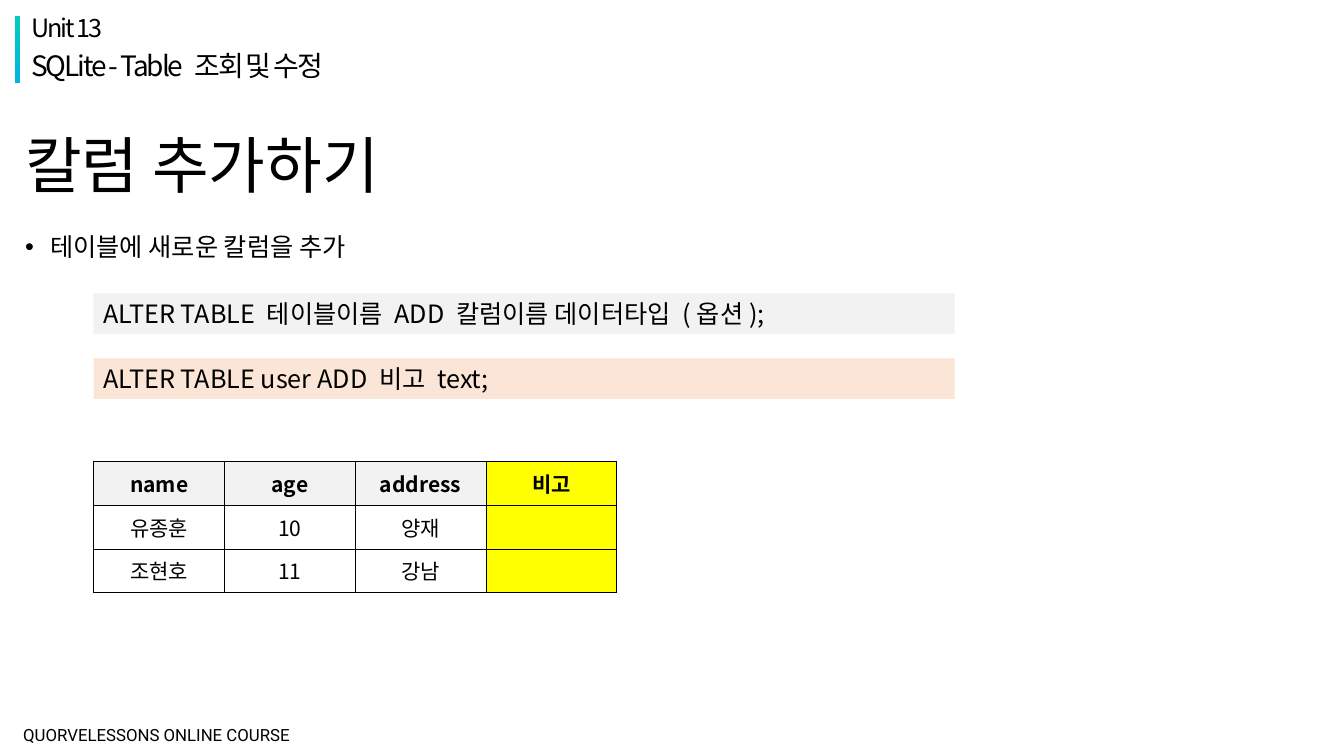
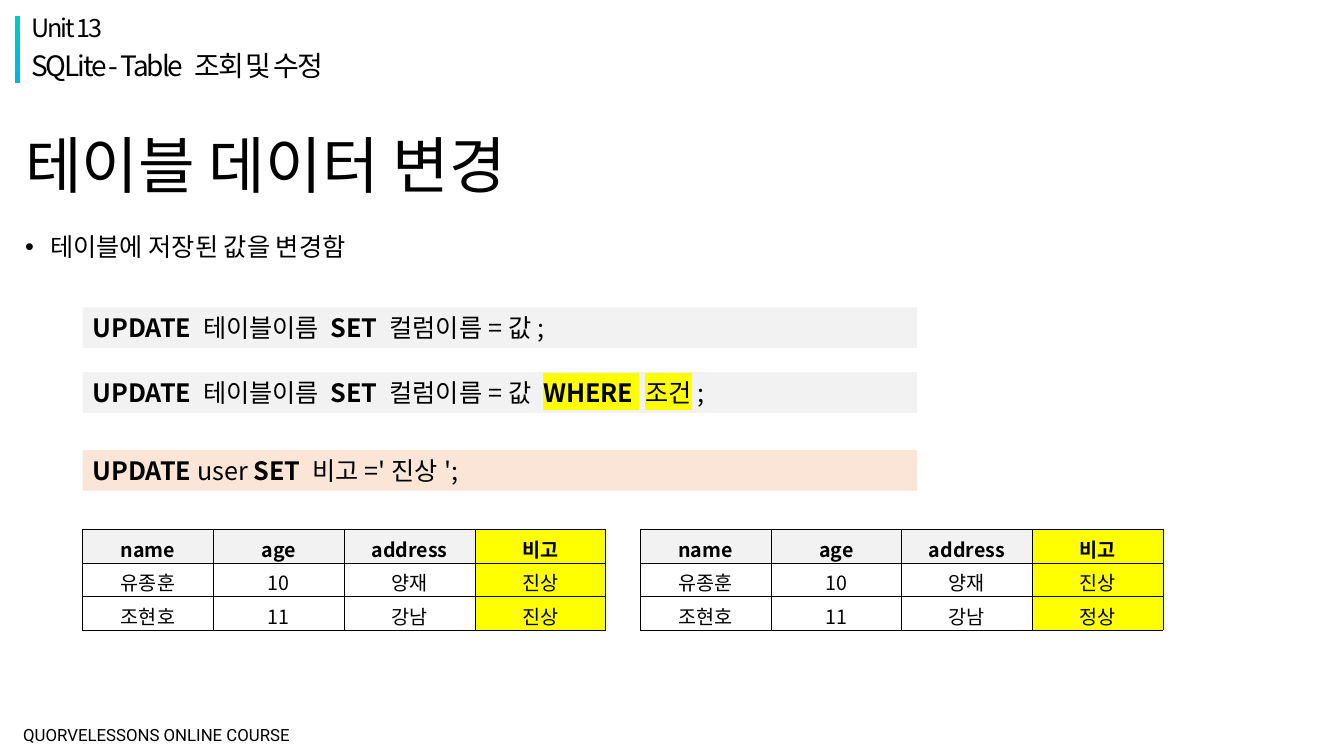
from dataclasses import dataclass

from lxml.etree import SubElement
from pptx import Presentation
from pptx.dml.color import RGBColor
from pptx.enum.shapes import MSO_SHAPE as Shape
from pptx.enum.text import MSO_ANCHOR as Anchor, PP_ALIGN as Align
from pptx.oxml.ns import qn
from pptx.util import Inches, Pt

COLUMNS, ROWS = 160, 90


@dataclass(frozen=True)
class Theme:
    font: str = "Noto Sans CJK KR"
    footer_font: str = "Roboto"
    ink: str = "000000"
    paper: str = "FFFFFF"
    syntax: str = "F2F2F2"
    example: str = "FBE5D6"
    marker: str = "FFFF00"
    bar_top: str = "02CCBA"
    bar_bottom: str = "02B3E4"
    title_size: int = 44
    topic_size: int = 20
    body_size: int = 18
    footer_size: int = 12
    border: float = 0.5


def rgb(value):
    return RGBColor.from_string(value)


def add_solid_color(parent, tag, value):
    SubElement(SubElement(parent, qn(tag)), qn("a:srgbClr")).set("val", value)


class Lesson:
    def __init__(self, theme, unit, topic, footer):
        self.theme = theme
        self.unit, self.topic, self.footer = unit, topic, footer
        self.deck = Presentation()
        self.deck.slide_width, self.deck.slide_height = Inches(13.33), Inches(7.5)
        self.page = None

    def place(self, column, row, columns, rows):
        """Turn grid units into left, top, width and height."""
        across = self.deck.slide_width / COLUMNS
        down = self.deck.slide_height / ROWS
        return [round(n) for n in (column * across, row * down,
                                   columns * across, rows * down)]

    def style(self, span, size, bold=False, font=None, marked=False, tracking=0):
        theme = self.theme
        span.font.size, span.font.bold = Pt(size), bold
        span.font.color.rgb = rgb(theme.ink)
        span.font.name = font or theme.font
        props = span._r.get_or_add_rPr()
        SubElement(props, qn("a:ea")).set("typeface", font or theme.font)
        if tracking:
            props.set("spc", str(round(tracking * 100)))
        if marked:
            add_solid_color(props, "a:highlight", theme.marker)
            props.find(qn("a:latin")).addprevious(props[-1])

    def text(self, area, words, size, anchor=Anchor.TOP, line=None, before=0, **look):
        box = self.page.shapes.add_textbox(*self.place(*area))
        frame = box.text_frame
        frame.text = words
        frame.word_wrap = True
        frame.vertical_anchor = anchor
        para = frame.paragraphs[0]
        para.space_before = Pt(before)
        if line:
            para.line_spacing = line
        self.style(para.runs[0], size, **look)
        return box

    def start_page(self, title):
        theme = self.theme
        self.page = self.deck.slides.add_slide(self.deck.slide_layouts[6])
        self.accent_bar()
        footer = self.text((1.8, 85.3, 60, 4.3), self.footer, theme.footer_size,
                           Anchor.MIDDLE, font=theme.footer_font)
        footer.text_frame.margin_left = Inches(0.08)
        self.text((1.8, 15, 138, 10.2), title, theme.title_size, Anchor.MIDDLE, 0.9)
        for row, words, size in ((1.32, self.unit, theme.body_size),
                                 (5.64, self.topic, theme.topic_size)):
            self.text((2.52, row, 96.6, 4.1), words, size,
                      line=0.9, before=10, tracking=-1.5)

    def accent_bar(self):
        bar = self.page.shapes.add_shape(Shape.RECTANGLE,
                                         *self.place(1.8, 1.92, 0.6, 7.92))
        bar.shadow.inherit = False
        bar.line.fill.background()
        bar.fill.gradient()
        bar.fill.gradient_angle = 270
        colors = (self.theme.bar_top, self.theme.bar_bottom)
        for position, (stop, color) in enumerate(zip(bar.fill.gradient_stops, colors)):
            stop.position, stop.color.rgb = position, rgb(color)

    def bullet(self, words):
        box = self.text((1.8, 27, 138, 10.2), words, self.theme.body_size, before=10)
        props = box.text_frame.paragraphs[0]._p.get_or_add_pPr()
        props.set("marL", str(Inches(0.25)))
        props.set("indent", str(-Inches(0.25)))
        SubElement(props, qn("a:buFont")).set("typeface", "Arial")
        SubElement(props, qn("a:buChar")).set("char", "•")

    def code(self, column, row, columns, fill, *parts):
        """Draw a code band; a part is plain text or (text, look)."""
        band = self.page.shapes.add_shape(Shape.RECTANGLE,
                                          *self.place(column, row, columns, 4.85))
        band.shadow.inherit = False
        band.fill.solid()
        band.fill.fore_color.rgb = rgb(fill)
        band.line.fill.background()
        frame = band.text_frame
        frame.word_wrap = True
        frame.vertical_anchor = Anchor.MIDDLE
        para = frame.paragraphs[0]
        para.alignment = Align.LEFT
        for part in parts:
            words, look = (part, {}) if isinstance(part, str) else part
            span = para.add_run()
            span.text = words
            self.style(span, self.theme.body_size, **look)

    def table(self, column, row, row_height, size, records):
        """Draw records with a shaded header and a marked last column."""
        count, last = len(records), len(records[0]) - 1
        area = self.place(column, row, 15.57 * (last + 1), row_height * count)
        table = self.page.shapes.add_table(count, last + 1, *area).table
        table.first_row = table.horz_banding = False
        for r, record in enumerate(records):
            for c, words in enumerate(record):
                header = self.theme.syntax if r == 0 else self.theme.paper
                fill = self.theme.marker if c == last else header
                self.cell(table.cell(r, c), words, size, fill, bold=r == 0)

    def cell(self, cell, words, size, fill, bold):
        props = cell._tc.get_or_add_tcPr()
        for side in ("a:lnL", "a:lnR", "a:lnT", "a:lnB"):
            edge = SubElement(props, qn(side))
            edge.set("w", str(Pt(self.theme.border)))
            add_solid_color(edge, "a:solidFill", self.theme.ink)
        cell.fill.solid()
        cell.fill.fore_color.rgb = rgb(fill)
        cell.vertical_anchor = Anchor.MIDDLE
        cell.text = words
        para = cell.text_frame.paragraphs[0]
        para.alignment = Align.CENTER
        for span in para.runs:
            self.style(span, size, bold)
        if not words:
            SubElement(para._p, qn("a:endParaRPr")).set("sz", str(size * 100))


def user_records(*notes):
    people = (("유종훈", "10", "양재"), ("조현호", "11", "강남"))
    return [("name", "age", "address", "비고"),
            *((*person, note) for person, note in zip(people, notes))]


def add_column_page(lesson):
    theme, left, width = lesson.theme, 11.16, 102.5
    lesson.start_page("칼럼 추가하기")
    lesson.bullet("테이블에 새로운 칼럼을 추가")
    lesson.code(left, 34.92, width, theme.syntax,
                "ALTER TABLE 테이블이름 ADD 칼럼이름 데이터타입 (옵션);")
    lesson.code(left, 42.65, width, theme.example, "ALTER TABLE user ADD 비고 text;")
    lesson.table(left, 54.96, 5.2, 15, user_records("", ""))


def update_data_page(lesson):
    theme, left, width = lesson.theme, 9.84, 99.36
    bold, marked = {"bold": True}, {"marked": True}
    update, assign = ("UPDATE ", bold), ("SET ", bold)
    lesson.start_page("테이블 데이터 변경")
    lesson.bullet("테이블에 저장된 값을 변경함")
    lesson.code(left, 36.6, width, theme.syntax,
                update, "테이블이름 ", assign, "컬럼이름=값;")
    lesson.code(left, 44.3, width, theme.syntax,
                update, "테이블이름 ", assign, "컬럼이름=값 ",
                ("WHERE", bold | marked), (" 조건", marked), ";")
    lesson.code(left, 53.55, width, theme.example,
                update, "user ", assign, "비고='진상';")
    for column, second_note in ((left, "진상"), (76.2, "정상")):
        lesson.table(column, 63, 3.96, 14, user_records("진상", second_note))


def main():
    lesson = Lesson(Theme(), "Unit 13", "SQLite - Table 조회 및 수정",
                    "QUORVELESSONS ONLINE COURSE")
    add_column_page(lesson)
    update_data_page(lesson)
    lesson.deck.save("out.pptx")


if __name__ == "__main__":
    main()
